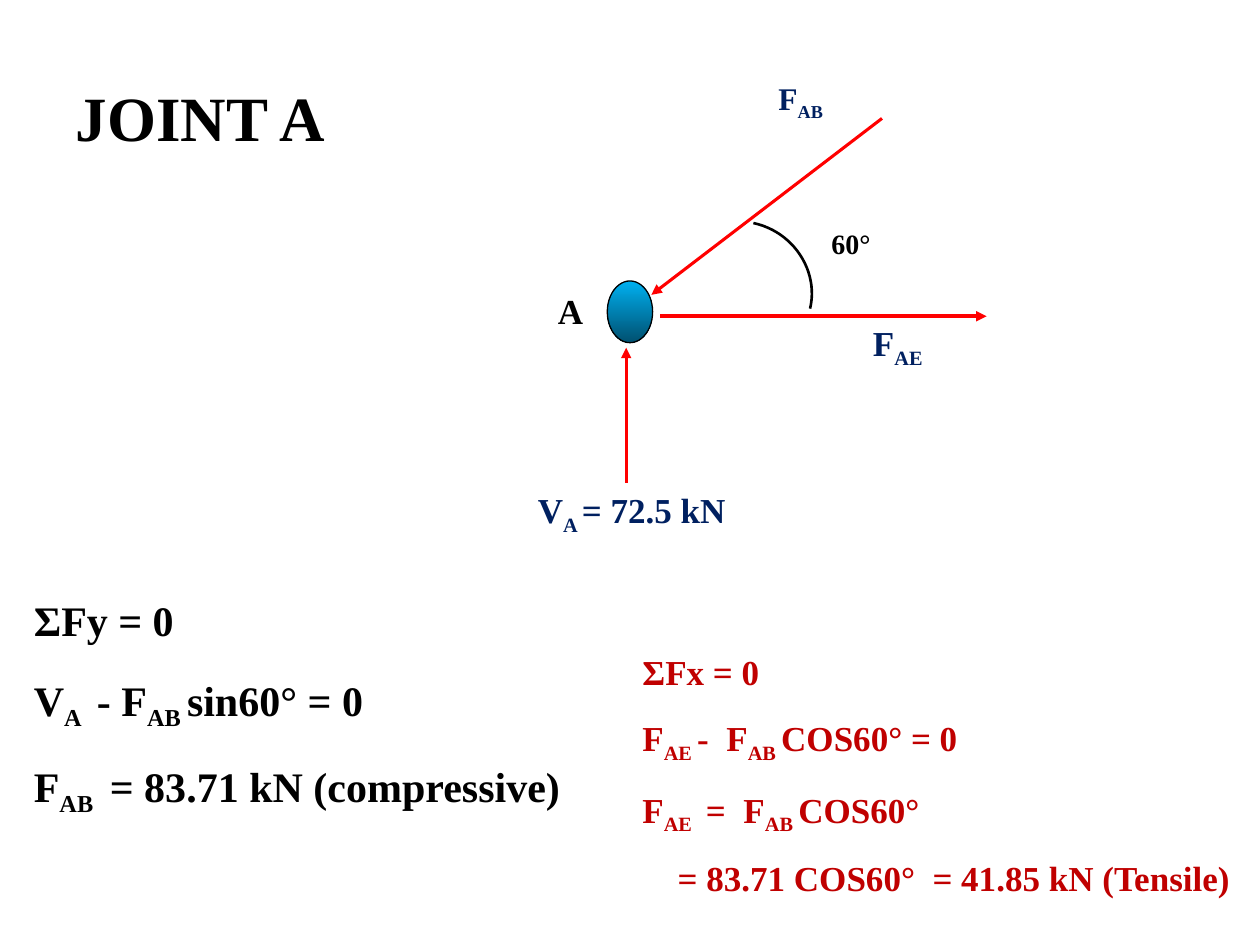
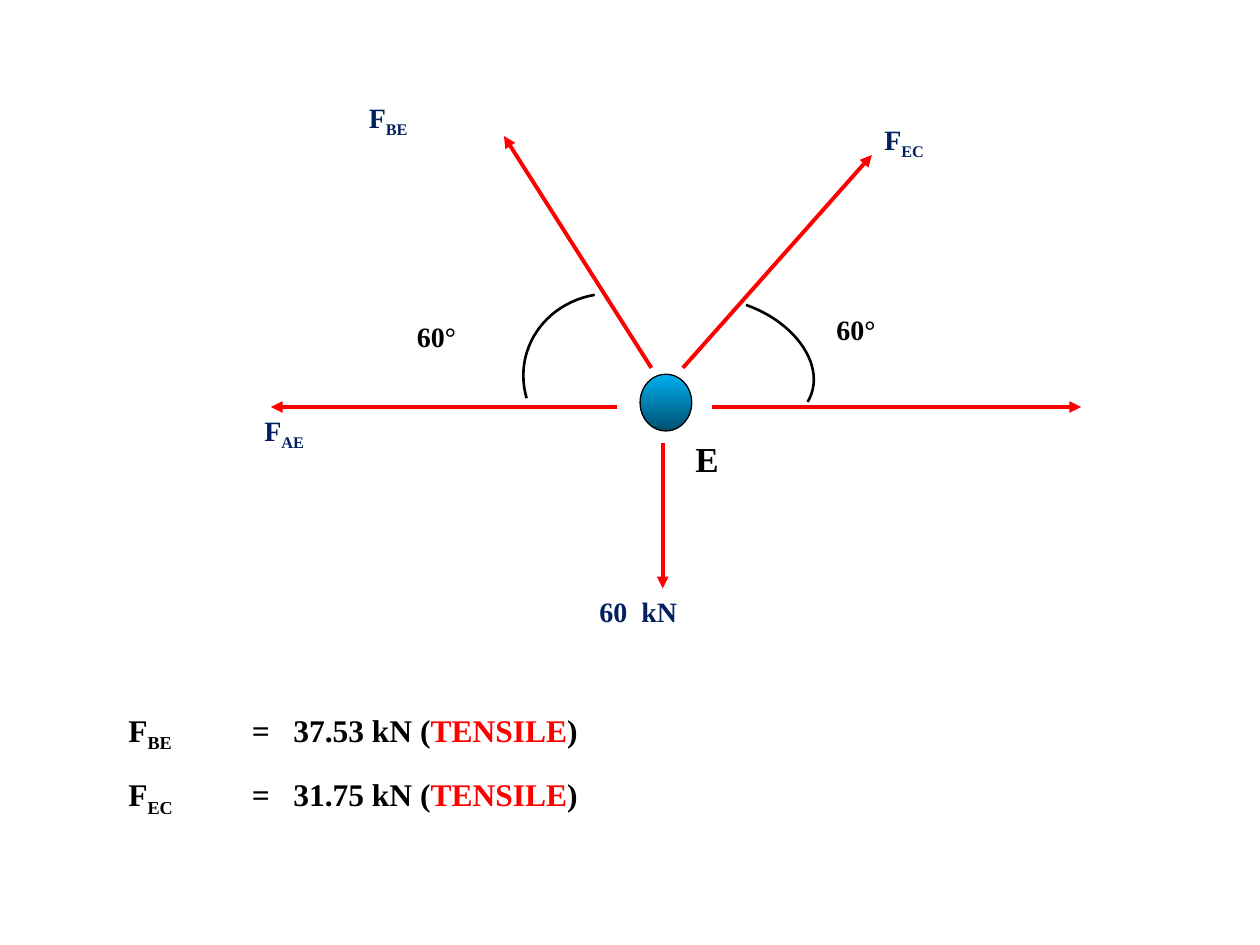
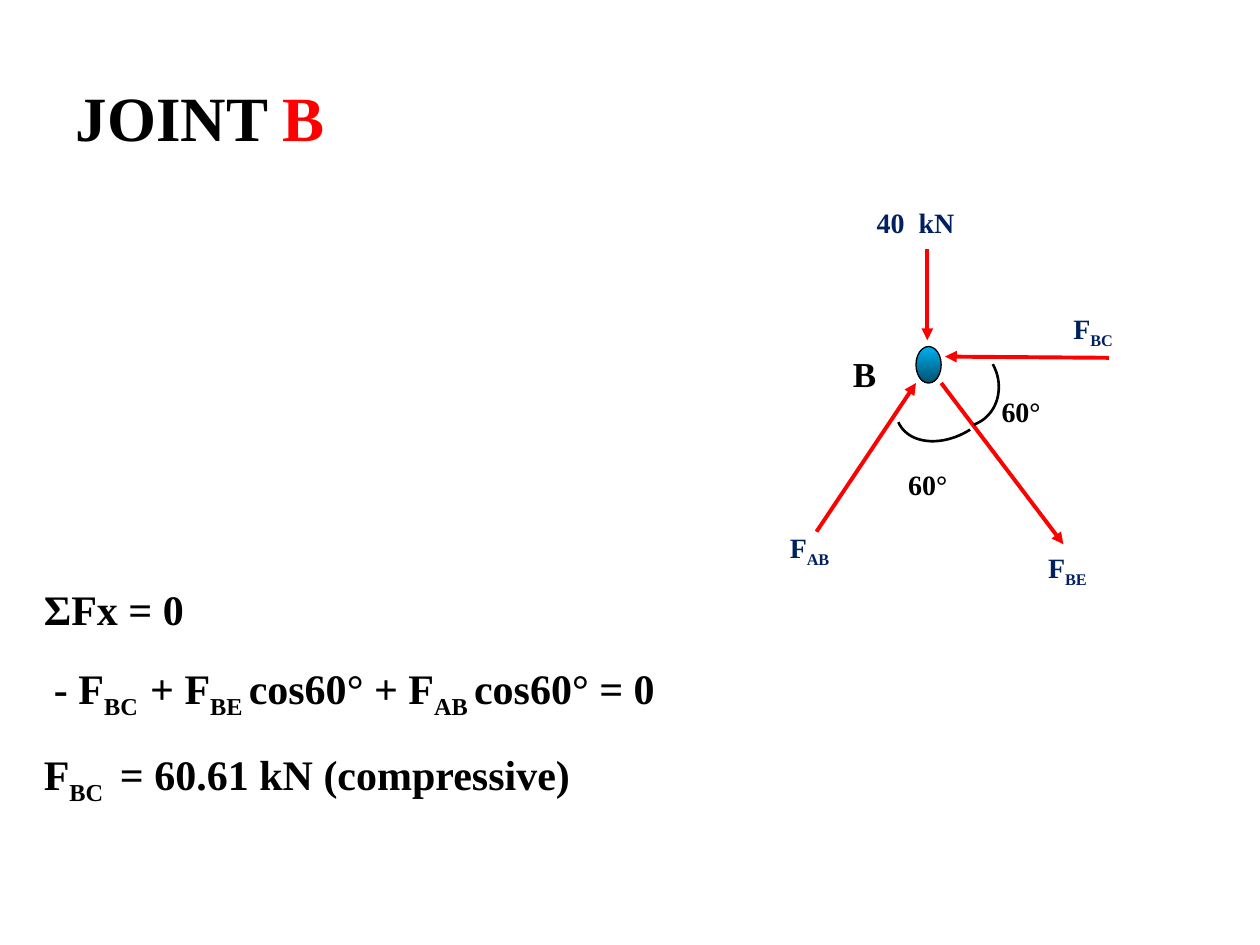
from lxml import etree
from pptx import Presentation
from pptx import util as u
from pptx.dml.color import RGBColor
from pptx.enum import shapes, text
from pptx.oxml.ns import qn

FONT = "Times New Roman"
BLACK, WHITE, RED, NAVY, MAROON = "000000", "FFFFFF", "FF0000", "002060", "C00000"
BALL_TOP, BALL_END = "00B0F0", "005070"
WIDTH, HEIGHT = u.Inches(10), u.Inches(7.5)
CELL = WIDTH / 10
TITLE_ONLY, BLANK = 5, 6
ARC_STEPS = 24


def grid(*cells):
    return [round(c * CELL) for c in cells]


def rgb(code):
    return RGBColor.from_string(code)


def write(para, words, size, color=BLACK):
    """Fill a paragraph; _x_ is a subscript and *x* is red."""
    for i, part in enumerate(words.split("*")):
        for j, piece in enumerate(part.split("_")):
            if not piece:
                continue
            run = para.add_run()
            run.text = piece
            font = run.font
            font.name, font.size, font.bold = FONT, u.Pt(size), True
            font.color.rgb = rgb(RED if i % 2 else color)
            if j % 2:
                run._r.get_or_add_rPr().set("baseline", "-25000")


def title(slide, words):
    head = slide.shapes.title
    head.left, head.top, head.width, head.height = grid(0.5, 0.3, 9, 1.25)
    frame = head.text_frame
    frame.vertical_anchor = text.MSO_ANCHOR.MIDDLE
    frame.paragraphs[0].alignment = text.PP_ALIGN.LEFT
    write(frame.paragraphs[0], words, 36)


def label(slide, box, words, size=16, color=NAVY):
    tag = slide.shapes.add_shape(shapes.MSO_SHAPE.RECTANGLE, *grid(*box))
    tag.shadow.inherit = False
    tag.fill.solid()
    tag.fill.fore_color.rgb = rgb(WHITE)
    tag.line.color.rgb = rgb(WHITE)
    tag.line.width = u.Pt(0.75)
    frame = tag.text_frame
    frame.word_wrap = True
    frame.vertical_anchor = text.MSO_ANCHOR.TOP
    frame.paragraphs[0].alignment = text.PP_ALIGN.LEFT
    write(frame.paragraphs[0], words, size, color)


def joint(slide, box):
    ball = slide.shapes.add_shape(shapes.MSO_SHAPE.OVAL, *grid(*box))
    ball.shadow.inherit = False
    ball.fill.gradient()
    ball.fill.gradient_angle = 270
    for stop, color in zip(ball.fill.gradient_stops, (BALL_TOP, BALL_END)):
        stop.color.rgb = rgb(color)
    ball.line.color.rgb = rgb(BLACK)
    ball.line.width = u.Pt(0.75)


def force(slide, start, end, width=2.25):
    arrow = slide.shapes.add_connector(
        shapes.MSO_CONNECTOR.STRAIGHT, *grid(*start, *end))
    arrow.line.color.rgb = rgb(RED)
    arrow.line.width = u.Pt(width)
    etree.SubElement(arrow.line._get_or_add_ln(), qn("a:tailEnd"), type="triangle")
    etree.SubElement(arrow._element.spPr, qn("a:effectLst"))


def angle(slide, *ctrl):
    """Draw an open arc along the cubic curve of four control points."""
    spots = []
    for step in range(ARC_STEPS + 1):
        t = step / ARC_STEPS
        parts = ((1 - t) ** 3, 3 * t * (1 - t) ** 2, 3 * t ** 2 * (1 - t), t ** 3)
        spots.append(grid(*(sum(k * p[axis] for k, p in zip(parts, ctrl))
                            for axis in (0, 1))))
    pen = slide.shapes.build_freeform(*spots[0])
    pen.add_line_segments(spots[1:], close=False)
    arc = pen.convert_to_shape()
    arc.shadow.inherit = False
    arc.fill.background()
    arc.line.color.rgb = rgb(BLACK)
    arc.line.width = u.Pt(1.5)


def sums(slide, box, lines, size=24, color=BLACK, indents=None, tabs=(),
         anchor=text.MSO_ANCHOR.MIDDLE):
    """Write equations; indents maps a line number to its left margin."""
    frame = slide.shapes.add_textbox(*grid(*box)).text_frame
    frame.word_wrap = True
    frame.vertical_anchor = anchor
    for i, words in enumerate(lines):
        para = frame.add_paragraph() if i else frame.paragraphs[0]
        para.line_spacing = 1.5
        props = para._p.get_or_add_pPr()
        if indents and i in indents:
            props.set("marL", str(grid(indents[i])[0]))
        if tabs:
            stops = etree.SubElement(props, qn("a:tabLst"))
            for pos in grid(*tabs):
                etree.SubElement(stops, qn("a:tab"), pos=str(pos), algn="l")
        write(para, words, size, color)


def joint_a(slide):
    title(slide, "JOINT A")
    label(slide, (4.33, 2.25, 1.07, 0.52), "A", 20, BLACK)
    label(slide, (6.83, 2.5, 2.32, 0.62), "F_AE_", 20)
    label(slide, (6.5, 1.75, 1.07, 0.52), "60°", color=BLACK)
    label(slide, (4.17, 3.83, 2.32, 0.67), "V_A _= 72.5 kN", 20)
    label(slide, (6.08, 0.58, 2.32, 0.67), "F_AB_", 18)
    joint(slide, (4.82, 2.23, 0.36, 0.49))
    force(slide, (4.97, 4.5 - 0.67), (4.97, 2.76), 1.75)
    force(slide, (5.24, 2.51), (7.83, 2.51), 2)
    force(slide, (7, 0.94), (5.17, 2.34), 1.75)
    angle(slide, (5.98, 1.77), (6.3, 1.84), (6.5, 2.15), (6.43, 2.45))
    sums(slide, (0.17, 4.42, 4.75, 2.17),
         ["ΣFy = 0", "V_A _ - F_AB _sin60° = 0", "F_AB _ = 83.71 kN (compressive)"])
    sums(slide, (5, 4.98, 5, 2.17),
         ["ΣFx = 0", "F_AE _-  F_AB _COS60° = 0", "F_AE _ =  F_AB _COS60°",
          "= 83.71 COS60°  = 41.85 kN (Tensile)"],
         20, MAROON, indents={3: 0.28})


def joint_e(slide):
    label(slide, (2, 3.23, 2.66, 0.58), "F_AE_")
    label(slide, (4.66, 4.67, 2.66, 0.62), "60  kN")
    label(slide, (2.83, 0.75, 2.66, 0.62), "F_BE_")
    label(slide, (6.92, 0.92, 2.66, 0.62), "F_EC_")
    label(slide, (3.21, 2.49, 1.22, 0.48), "60°", color=BLACK)
    label(slide, (6.54, 2.43, 1.22, 0.48), "60°", color=BLACK)
    label(slide, (5.42, 3.42, 1.07, 0.52), "E", 20, BLACK)
    joint(slide, (5.08, 2.97, 0.41, 0.45))
    for start, end in (((5.26, 3.52), (5.26, 4.67)), ((4.9, 3.23), (2.15, 3.23)),
                       ((5.17, 2.92), (4, 1.08)), ((5.42, 2.92), (6.92, 1.23)),
                       ((5.65, 3.23), (8.58, 3.23))):
        force(slide, start, end)
    angle(slide, (4.18, 3.16), (4.07, 2.78), (4.32, 2.41), (4.72, 2.34))
    angle(slide, (5.92, 2.42), (6.32, 2.56), (6.57, 2.92), (6.41, 3.19))
    sums(slide, (0.92, 5.42, 5, 1.01),
         [f"F_{bar}_\t=\t{load} kN (*TENSILE*)"
          for bar, load in (("BE", "37.53"), ("EC", "31.75"))],
         18, tabs=(0.98, 1.31), anchor=text.MSO_ANCHOR.TOP)


def joint_b(slide):
    title(slide, "JOINT *B*")
    label(slide, (6.67, 2.75, 0.74, 0.52), "B", 20, BLACK)
    label(slide, (7.85, 3.08, 0.69, 0.42), "60°", color=BLACK)
    label(slide, (7.11, 3.66, 0.68, 0.37), "60°", color=BLACK)
    for left, top, words in ((8.42, 2.42, "F_BC_"), (8.22, 4.32, "F_BE_"),
                             (6.17, 4.16, "F_AB_"), (6.86, 1.58, "40  kN")):
        label(slide, (left, top, 1.3, 0.39), words)
    joint(slide, (7.27, 2.75, 0.2, 0.29))
    for start, end in (((7.36, 1.98), (7.36, 2.7)), ((6.48, 4.22), (7.27, 3.04)),
                       ((7.47, 3.04), (8.44, 4.32)), ((8.8, 2.84), (7.5, 2.83))):
        force(slide, start, end)
    angle(slide, (7.7, 3.41), (7.48, 3.55), (7.21, 3.53), (7.13, 3.35))
    angle(slide, (7.88, 2.89), (7.98, 3.07), (7.92, 3.3), (7.73, 3.37))
    sums(slide, (0.25, 4.33, 5.5, 2.17),
         ["ΣFx = 0", "- F_BC  _+ F_BE _cos60° + F_AB _cos60° = 0",
          "F_BC _ = 60.61 kN (compressive)"],
         indents={1: 0.08})


def main():
    deck = Presentation()
    deck.slide_width, deck.slide_height = WIDTH, HEIGHT
    for layout, draw in ((TITLE_ONLY, joint_a), (BLANK, joint_e), (TITLE_ONLY, joint_b)):
        draw(deck.slides.add_slide(deck.slide_layouts[layout]))
    deck.save("out.pptx")


if __name__ == "__main__":
    main()
